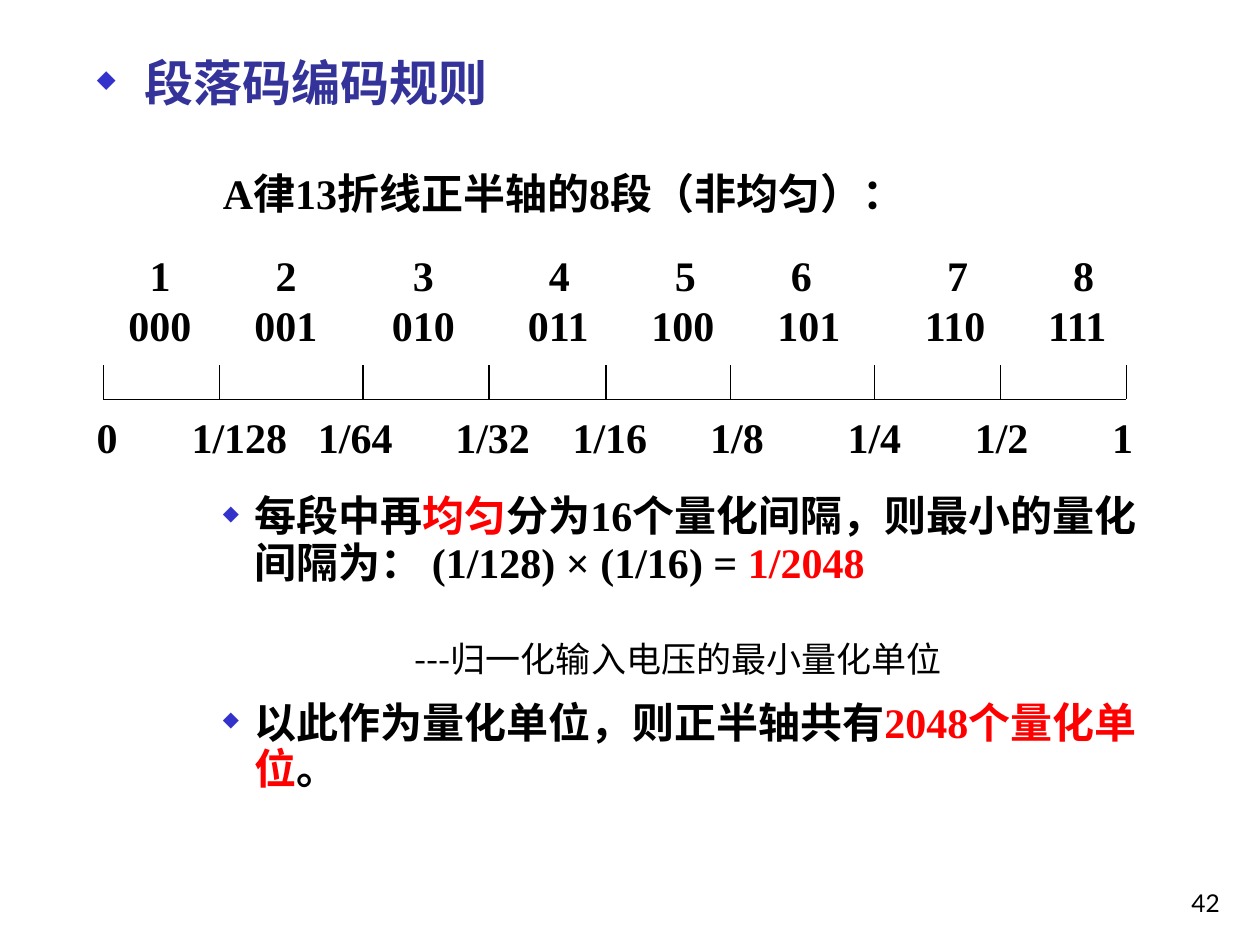
from lxml import etree
from pptx import Presentation
from pptx.dml.color import RGBColor
from pptx.enum import shapes, text
from pptx.oxml.ns import qn
from pptx.util import Inches, Pt

COLORS = {"black": "000000", "title": "333399", "red": "FF0000", "bullet": "3333CC"}
SERIF, CJK, SANS = "Times New Roman", "Noto Sans CJK SC", "Lato"

# Content: runs, size, left margin, hanging indent, bullet, space before, line height
BODY = [
    ([("段落码编码规则", "title")], 28, 0.38, 0.38, True, 0, 31),
    ([("A律13折线正半轴的8段（非均匀）：", "black")], 24, 1.25, 0.25, False, 35, 26.4),
    ([("每段中再", "black"), ("均匀", "red"),
      ("分为16个量化间隔，则最小的量化间隔为： (1/128) × (1/16) =", "black"),
      (" 1/2048", "red")], 24, 1.25, 0.25, True, 157.6, 26.4),
    ([("以此作为量化单位，则正半轴共有", "black"), ("2048个量化单位", "red"),
      ("。", "black")], 24, 1.25, 0.25, True, 65, 26.4),
]
# Each label row: labels and the centres they stand on
SEGMENTS = (["1", "2", "3", "4", "5", "6", "7", "8"],
            [1.27, 2.27, 3.36, 4.44, 5.44, 6.36, 7.6, 8.6])
CODES = (["000", "001", "010", "011", "100", "101", "110", "111"],
         [1.27, 2.27, 3.36, 4.43, 5.42, 6.42, 7.58, 8.55])
SCALE = (["0", "1/128", "1/64", "1/32", "1/16", "1/8", "1/4", "1/2", "1"],
         [0.85, 1.9, 2.82, 3.91, 4.84, 5.85, 6.94, 7.95, 8.91])
TICKS = [0.82, 1.74, 2.88, 3.88, 4.81, 5.8, 6.94, 7.94, 8.94]
TICK_TOP, AXIS_Y = 2.9, 3.17


def add_box(slide, left, top, width, height):
    frame = slide.shapes.add_textbox(*map(Inches, (left, top, width, height))).text_frame
    frame.word_wrap = True
    return frame


def style_run(run, size, font=SERIF, color="black", bold=False):
    run.font.size, run.font.name, run.font.bold = Pt(size), font, bold
    run.font.color.rgb = RGBColor.from_string(COLORS[color])
    east_asian = etree.SubElement(run._r.get_or_add_rPr(), qn("a:ea"))
    east_asian.set("typeface", CJK)


def add_bullet(properties):
    color = etree.SubElement(properties, qn("a:buClr"))
    etree.SubElement(color, qn("a:srgbClr")).set("val", COLORS["bullet"])
    etree.SubElement(properties, qn("a:buSzPct")).set("val", "50000")
    etree.SubElement(properties, qn("a:buChar")).set("char", "◆")


def add_label_rows(slide, left, top, width, height, rows):
    frame = add_box(slide, left, top, width, height)
    frame.margin_left = frame.margin_right = 0
    for index, (labels, centres) in enumerate(rows):
        paragraph = frame.paragraphs[0] if index == 0 else frame.add_paragraph()
        paragraph.line_spacing = Pt(28.6)
        tabs = etree.SubElement(paragraph._p.get_or_add_pPr(), qn("a:tabLst"))
        for centre in centres:
            tab = etree.SubElement(tabs, qn("a:tab"))
            tab.set("pos", str(Inches(centre - left)))
            tab.set("algn", "ctr")
        paragraph.text = "".join("\t" + label for label in labels)
        style_run(paragraph.runs[0], 24, bold=True)


def add_line(slide, x1, y1, x2, y2):
    line = slide.shapes.add_connector(shapes.MSO_CONNECTOR.STRAIGHT,
                                      *map(Inches, (x1, y1, x2, y2)))
    line.line.width = Pt(0.75)
    line.line.color.rgb = RGBColor.from_string(COLORS["black"])
    etree.SubElement(line._element.spPr, qn("a:effectLst"))


def main():
    presentation = Presentation()
    presentation.slide_width, presentation.slide_height = Inches(10), Inches(7.5)
    slide = presentation.slides.add_slide(presentation.slide_layouts[6])

    # Page number
    frame = add_box(slide, 7.7, 6.83, 2.08, 0.5)
    frame.vertical_anchor = text.MSO_ANCHOR.BOTTOM
    frame.text = "42"
    frame.paragraphs[0].alignment = text.PP_ALIGN.RIGHT
    style_run(frame.paragraphs[0].runs[0], 14, SANS)

    # Heading and rules
    frame = add_box(slide, 0.67, 0.4, 8.74, 6.59)
    for index, (runs, size, margin, hang, bullet, before, height) in enumerate(BODY):
        paragraph = frame.paragraphs[0] if index == 0 else frame.add_paragraph()
        paragraph.line_spacing = Pt(height)
        if before:
            paragraph.space_before = Pt(before)
        properties = paragraph._p.get_or_add_pPr()
        properties.set("marL", str(Inches(margin)))
        properties.set("indent", str(Inches(-hang if bullet else 0 - hang)))
        if bullet:
            add_bullet(properties)
        for words, color in runs:
            run = paragraph.add_run()
            run.text = words
            style_run(run, size, color=color, bold=True)
        if not bullet:
            properties.set("indent", str(Inches(-hang)))

    # Segment numbers and codes above the axis, scale below it
    add_label_rows(slide, 0.76, 1.93, 8.62, 0.89, [SEGMENTS, CODES])
    add_label_rows(slide, 0.57, 3.22, 9.13, 0.5, [SCALE])

    # Axis and ticks
    add_line(slide, TICKS[0], AXIS_Y, TICKS[-1], AXIS_Y)
    for x in TICKS:
        add_line(slide, x, TICK_TOP, x, AXIS_Y)

    # Remark on the smallest unit
    frame = add_box(slide, 3.19, 5.01, 4.53, 0.43)
    frame.text = "---归一化输入电压的最小量化单位"
    style_run(frame.paragraphs[0].runs[0], 20, CJK)

    presentation.save("out.pptx")


if __name__ == "__main__":
    main()
